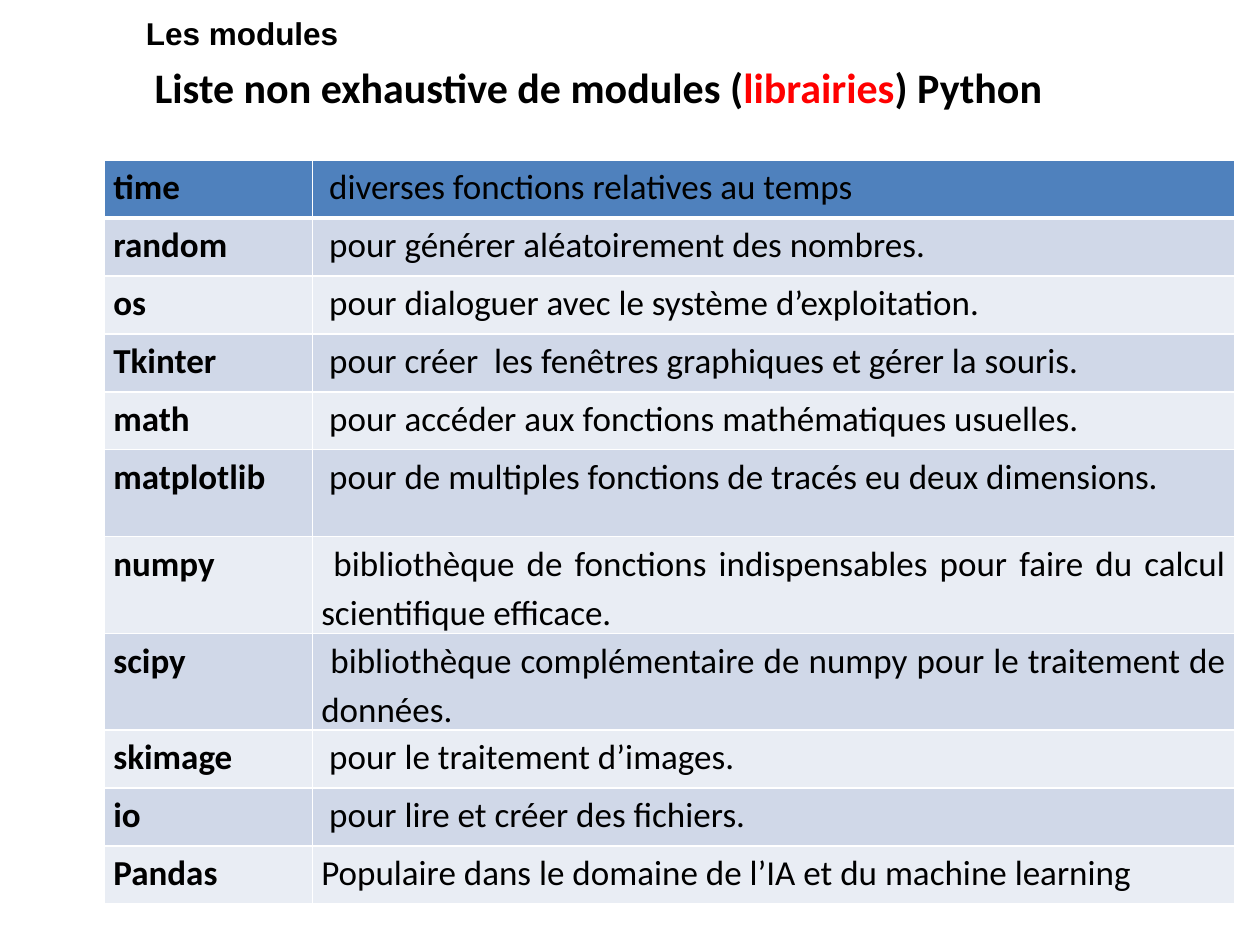
from dataclasses import dataclass

from lxml.etree import SubElement
from pptx import Presentation
from pptx.dml.color import RGBColor
from pptx.enum.text import MSO_ANCHOR, PP_ALIGN
from pptx.oxml.ns import qn
from pptx.util import Inches, Pt


@dataclass(frozen=True)
class Theme:
    """Colours, fonts and type sizes of the slide."""
    text: str = "000000"
    accent: str = "FF0000"
    header: str = "4F81BD"
    bands: tuple = ("D0D8E8", "E9EDF4")
    border: str = "FFFFFF"
    label_font: str = "Arial"
    font: str = "Calibri"
    label_size: int = 18
    title_size: int = 24
    table_size: int = 20


MODULES = [
    ("time", " diverses fonctions relatives au temps"),
    ("random", " pour générer aléatoirement des nombres."),
    ("os", " pour dialoguer avec le système d’exploitation."),
    ("Tkinter", " pour créer  les fenêtres graphiques et gérer la souris."),
    ("math", " pour accéder aux fonctions mathématiques usuelles."),
    ("matplotlib", " pour de multiples fonctions de tracés eu deux dimensions."),
    ("numpy", " bibliothèque de fonctions indispensables pour faire du calcul scientifique efficace."),
    ("scipy", " bibliothèque complémentaire de numpy pour le traitement de données."),
    ("skimage", " pour le traitement d’images."),
    ("io", " pour lire et créer des fichiers."),
    ("Pandas", "Populaire dans le domaine de l’IA et du machine learning"),
]
TALL_ROWS = {"matplotlib", "numpy", "scipy"}


def add_text(paragraph, text, *, font, size, color, bold=False):
    """Append one formatted run to a paragraph."""
    run = paragraph.add_run()
    run.text = text
    run.font.name = font
    run.font.size = Pt(size)
    run.font.bold = bold
    run.font.color.rgb = RGBColor.from_string(color)


def set_borders(cell, color, widths):
    """Draw the left, right, top and bottom borders of a cell."""
    properties = cell._tc.get_or_add_tcPr()
    for side, width in zip("LRTB", widths):
        line = SubElement(properties, qn(f"a:ln{side}"), w=str(Pt(width)))
        fill = SubElement(line, qn("a:solidFill"))
        SubElement(fill, qn("a:srgbClr"), val=color)


class SlideBuilder:
    """Draws styled elements on the current slide."""

    def __init__(self, slide, theme):
        """Keep the slide and its theme."""
        self.slide = slide
        self.theme = theme

    def text_box(self, left, top, width, height, parts, *, font, size, anchor=MSO_ANCHOR.TOP):
        """Add a bold line made of (text, colour) parts."""
        shape = self.slide.shapes.add_textbox(Inches(left), Inches(top), Inches(width), Inches(height))
        frame = shape.text_frame
        frame.word_wrap = True
        frame.vertical_anchor = anchor
        for text, color in parts:
            add_text(frame.paragraphs[0], text, font=font, size=size, color=color, bold=True)

    def table(self, left, top, column_widths, rows, row_heights):
        """Add a banded table whose first column is bold."""
        graphic = self.slide.shapes.add_table(
            len(rows), len(column_widths), Inches(left), Inches(top),
            Inches(sum(column_widths)), Inches(sum(row_heights)))
        table = graphic.table
        for column, width in zip(table.columns, column_widths):
            column.width = Inches(width)
        for row_index, (texts, height) in enumerate(zip(rows, row_heights)):
            table.rows[row_index].height = Inches(height)
            for column_index, text in enumerate(texts):
                self.cell(table.cell(row_index, column_index), text, row_index, column_index == 0)

    def cell(self, cell, text, row_index, bold):
        """Fill, border and write one table cell."""
        theme = self.theme
        widths = (1, 1, 3 if row_index == 1 else 1, 3 if row_index == 0 else 1)
        set_borders(cell, theme.border, widths)
        fill = theme.bands[(row_index - 1) % 2] if row_index else theme.header
        cell.fill.solid()
        cell.fill.fore_color.rgb = RGBColor.from_string(fill)
        cell.margin_left = cell.margin_right = Inches(0.07)
        cell.margin_top = cell.margin_bottom = Inches(0)
        paragraph = cell.text_frame.paragraphs[0]
        paragraph.alignment = PP_ALIGN.JUSTIFY
        paragraph.line_spacing = 1.15
        add_text(paragraph, text, font=theme.font, size=theme.table_size, color=theme.text, bold=bold)


def main():
    """Build and save the presentation."""
    theme = Theme()
    presentation = Presentation()
    presentation.slide_width = Inches(10)
    presentation.slide_height = Inches(7.5)
    builder = SlideBuilder(presentation.slides.add_slide(presentation.slide_layouts[6]), theme)
    builder.text_box(1.06, 0.06, 8.94, 0.4, [("Les modules", theme.text)],
                     font=theme.label_font, size=theme.label_size)
    title = [("Liste non exhaustive de modules (", theme.text),
             ("librairies", theme.accent), (") Python", theme.text)]
    builder.text_box(1.13, 0.44, 8.87, 0.49, title, font=theme.font,
                     size=theme.title_size, anchor=MSO_ANCHOR.MIDDLE)
    row_heights = [0.69 if name in TALL_ROWS else 0.46 for name, _ in MODULES]
    builder.table(0.83, 1.27, [1.65, 7.32], MODULES, row_heights)
    presentation.save("out.pptx")


if __name__ == "__main__":
    main()
